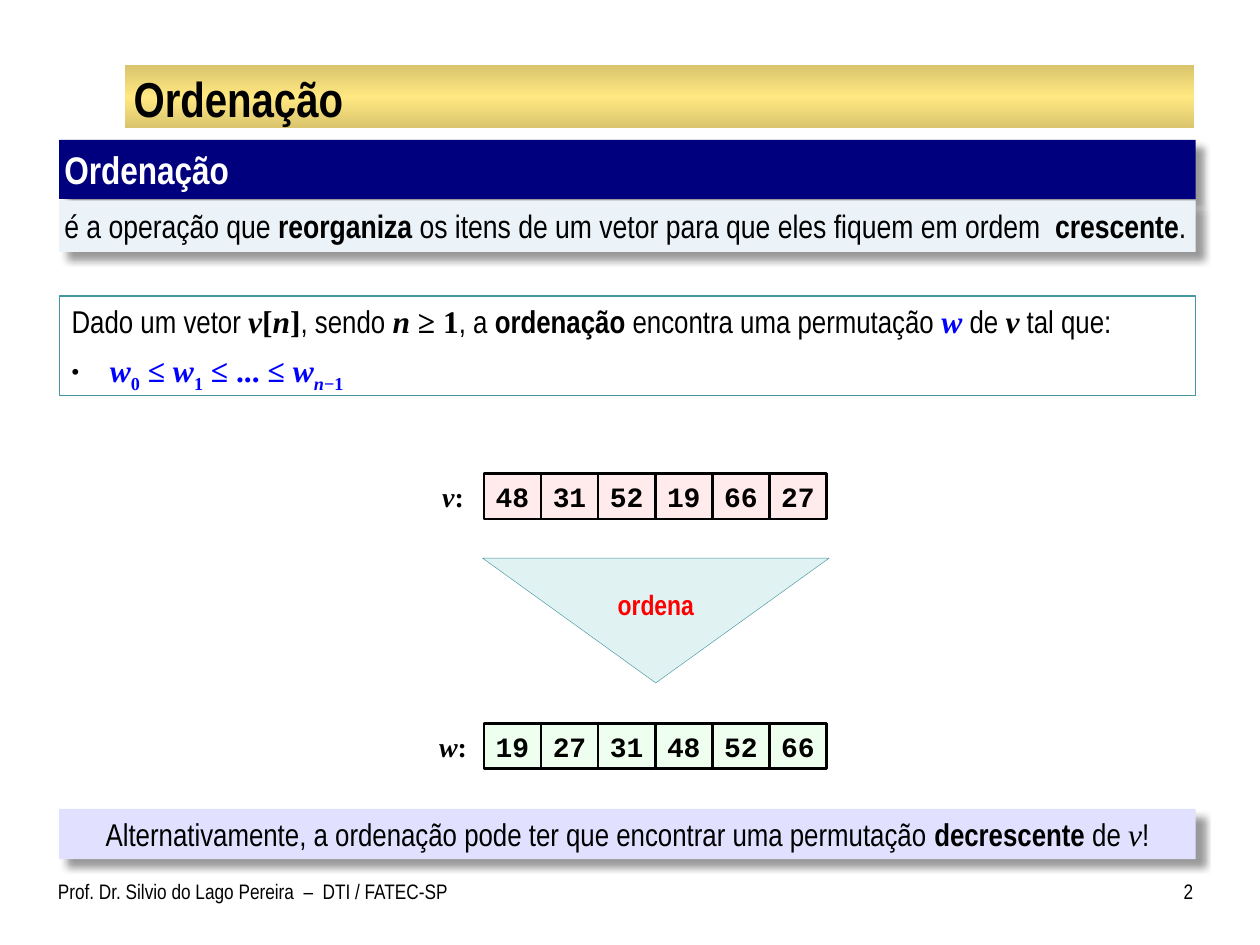
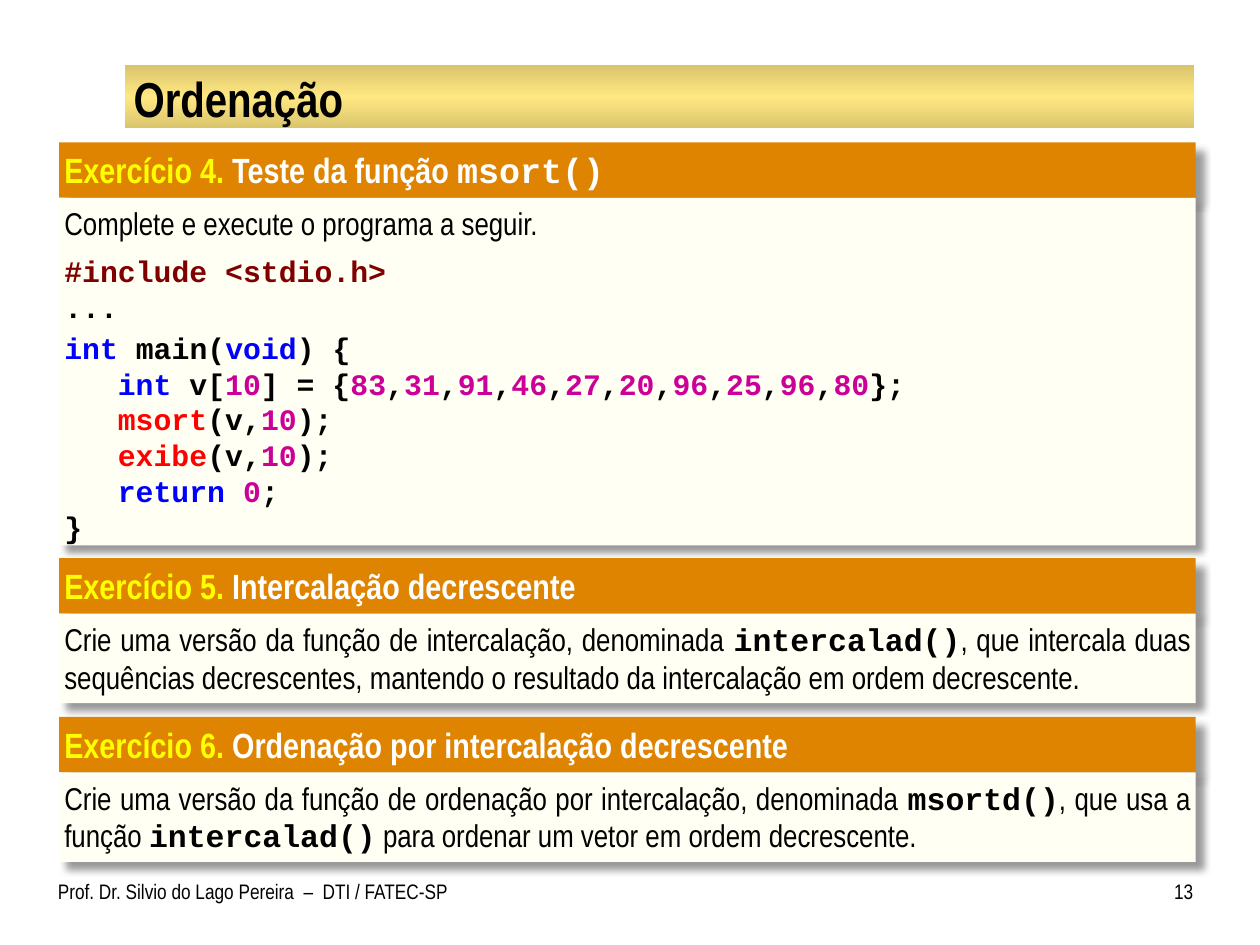
"""Builds two slides on sorting: its definition and a set of exercises."""
import pptx
import pptx.util
import pptx.dml.color
import pptx.enum.shapes
import pptx.enum.text
import lxml.etree

Inches, Pt = pptx.util.Inches, pptx.util.Pt
rgb = pptx.dml.color.RGBColor.from_string
SHAPE = pptx.enum.shapes.MSO_SHAPE
ALIGN = pptx.enum.text.PP_ALIGN
ANCHOR = pptx.enum.text.MSO_ANCHOR
NS = "http://schemas.openxmlformats.org/drawingml/2006/main"

BLACK, WHITE, BLUE, RED = "000000", "FFFFFF", "0000FF", "FF0000"
YELLOW, MAROON, PURPLE, TEAL = "FFFF00", "800000", "CC0099", "4597A0"
NAVY, ORANGE, CREAM, GOLD = "00007E", "DE8400", "FFFFF3", "FFE781"
LEFT, WIDTH = 0.47, 9.02
STYLES = {
    "plain": dict(name="Arial Narrow", bold=False, italic=False),
    "bold": dict(name="Arial Narrow", bold=True, italic=False),
    "math": dict(name="Times New Roman", bold=True, italic=False),
    "var": dict(name="Times New Roman", bold=True, italic=True),
    "light": dict(name="Times New Roman", bold=False, italic=True),
    "code": dict(name="Courier New", bold=True, italic=False),
}
SUB = "-25000"
GRADIENT = f"""<a:gradFill xmlns:a="{NS}" rotWithShape="1"><a:gsLst>
<a:gs pos="0"><a:srgbClr val="{GOLD}"><a:shade val="70000"/></a:srgbClr></a:gs>
<a:gs pos="50000"><a:srgbClr val="{GOLD}"/></a:gs>
<a:gs pos="100000"><a:srgbClr val="{GOLD}"><a:shade val="70000"/></a:srgbClr></a:gs>
</a:gsLst><a:lin ang="5400000" scaled="0"/></a:gradFill>"""
SHADOW = f"""<a:outerShdw xmlns:a="{NS}" blurRad="50800" dist="76200" dir="2700000"
 algn="tl" rotWithShape="0"><a:srgbClr val="000000"><a:alpha val="40000"/></a:srgbClr></a:outerShdw>"""


def write(sp, size, paras, ins=(0.1, 0.05, 0.1, 0.05), anchor=ANCHOR.TOP):
    tf = sp.text_frame
    frame = dict(zip(("margin_left", "margin_top", "margin_right", "margin_bottom"), map(Inches, ins)))
    frame.update(word_wrap=True, auto_size=pptx.enum.text.MSO_AUTO_SIZE.NONE, vertical_anchor=anchor)
    for key, value in frame.items():
        setattr(tf, key, value)
    for i, (fmt, runs) in enumerate(paras):
        p = tf.add_paragraph() if i else tf.paragraphs[0]
        for key, value in fmt.items():
            setattr(p, key, value)
        for text, style, color, *base in runs:
            r = p.add_run()
            r.text = text
            for key, value in dict(STYLES[style], size=Pt(size)).items():
                setattr(r.font, key, value)
            r.font.color.rgb = rgb(color)
            if base:
                r._r.get_or_add_rPr().set("baseline", base[0])


def box(s, at, fill=None, line=None, weight=0.75, shadow=False, kind=SHAPE.RECTANGLE):
    sp = s.shapes.add_shape(kind, *map(Inches, at))
    sp.shadow.inherit = False
    if shadow:
        sp._element.spPr.find(f"{{{NS}}}effectLst").append(lxml.etree.fromstring(SHADOW))
    if fill:
        sp.fill.solid()
        sp.fill.fore_color.rgb = rgb(fill)
    else:
        sp.fill.background()
    if line:
        sp.line.color.rgb = rgb(line)
        sp.line.width = Pt(weight)
    else:
        sp.line.fill.background()
    return sp


left, center, right = ({"alignment": a} for a in (ALIGN.LEFT, ALIGN.CENTER, ALIGN.RIGHT))
justify = {"alignment": ALIGN.JUSTIFY, "space_before": Pt(3)}
tight = (0.04, 0.05, 0.04, 0.05)
cell = (0, 0.05, 0, 0.05)

prs = pptx.Presentation()
prs.slide_width, prs.slide_height = Inches(10), Inches(7.5)
layout = prs.slide_layouts[5]

slides = []
for number in ("2", "13"):
    s = prs.slides.add_slide(layout)
    slides.append(s)
    title = s.shapes.title
    title.left, title.top, title.width, title.height = map(Inches, (1, 0.54, 8.47, 0.47))
    write(title, 28, [(left, [("Ordenação", "bold", BLACK)])], (0.06, 0.01, 0.06, 0.01), ANCHOR.MIDDLE)
    footers = [
        ((0.46, 6.92, 3.27, 0.42), left, "Prof. Dr. Silvio do Lago Pereira  –  DTI / FATEC-SP", (0, 0.05, 0.1, 0.05)),
        ((9.08, 6.92, 0.39, 0.42), right, number, (0.1, 0.05, 0, 0.05)),
    ]
    for at, fmt, text, ins in footers:
        sp = s.shapes.add_textbox(*map(Inches, at))
        write(sp, 12, [(fmt, [(text, "plain", BLACK)])], ins)

s, exercises = slides
band = box(s, (0.99, 0.52, 8.49, 0.5))
spPr = band._element.spPr
no_fill = spPr.find(f"{{{NS}}}noFill")
spPr.replace(no_fill, lxml.etree.fromstring(GRADIENT))
layout.shapes._spTree.insert(2, band._element)

sp = box(s, (LEFT, 1.11, WIDTH, 0.47), NAVY, shadow=True)
write(sp, 22, [(left, [("Ordenação", "bold", WHITE)])], tight)
sp = box(s, (LEFT, 1.59, WIDTH, 0.41), "EBF3F9", shadow=True)
write(sp, 18.5, [({"alignment": ALIGN.JUSTIFY}, [
    ("é a operação que ", "plain", BLACK),
    ("reorganiza", "bold", BLACK),
    (" os itens de um vetor para que eles fiquem em ordem  ", "plain", BLACK),
    ("crescente", "bold", BLACK),
    (".", "plain", BLACK),
])], tight)

problem = [
    ("Dado um vetor ", "plain", BLACK), ("v", "var", BLACK), ("[", "math", BLACK),
    ("n", "var", BLACK), ("]", "math", BLACK), (", sendo ", "plain", BLACK),
    ("n ", "var", BLACK), ("≥ 1", "math", BLACK), (", a ", "plain", BLACK),
    ("ordenação", "bold", BLACK), (" encontra uma permutação ", "plain", BLACK),
    ("w", "var", BLUE), (" de ", "plain", BLACK), ("v", "var", BLACK), (" tal que:", "plain", BLACK),
]
order = [
    (" ", "light", BLACK), ("w", "var", BLUE), ("0", "math", BLUE, SUB),
    (" ≤ ", "math", BLUE), ("w", "var", BLUE), ("1", "math", BLUE, SUB),
    (" ≤ ... ≤ ", "math", BLUE), ("w", "var", BLUE),
    ("n", "var", BLUE, SUB), ("−1", "math", BLUE, SUB),
]
sp = box(s, (LEFT, 2.35, WIDTH, 0.79), line=TEAL)
write(sp, 18, [(justify, problem), (dict(justify, space_before=Pt(6)), order)])
pPr = sp.text_frame.paragraphs[1]._p.get_or_add_pPr()
pPr.set("marL", str(Inches(0.24)))
pPr.set("indent", str(-Inches(0.24)))
for tag, attr, value in (("buSzPct", "val", "69000"), ("buFont", "typeface", "Arial"), ("buChar", "char", "•")):
    lxml.etree.SubElement(pPr, f"{{{NS}}}{tag}").set(attr, value)

vectors = [
    ("v", 3.76, "FFEBEB", (48, 31, 52, 19, 66, 27)),
    ("w", 5.74, "EFFFEF", (19, 27, 31, 48, 52, 66)),
]
step = 2.72 / 6
for name, top, fill, values in vectors:
    sp = box(s, (3.37, top, 0.45, 0.36), WHITE)
    write(sp, 16, [(center, [(name, "var", BLACK), (":", "math", BLACK)])], cell, ANCHOR.MIDDLE)
    for i, value in enumerate(values):
        sp = box(s, (3.84 + i * step, top, step, 0.36), fill, BLACK, 1.5)
        write(sp, 16, [(center, [(str(value), "code", BLACK)])], cell, ANCHOR.MIDDLE)
sp = box(s, (3.83, 4.43, 2.75, 0.99), "E1F2F3", TEAL, 0.25, kind=SHAPE.FLOWCHART_MERGE)
write(sp, 16, [(center, [("ordena", "bold", RED)])], (0, 0.28, 0, 0.04), ANCHOR.MIDDLE)

sp = box(s, (LEFT, 6.42, WIDTH, 0.4), "E1E1FF", shadow=True)
write(sp, 18, [(center, [
    ("Alternativamente, a ordenação pode ter que encontrar uma permutação ", "plain", BLACK),
    ("decrescente ", "bold", BLACK),
    ("de ", "plain", BLACK),
    ("v", "light", BLACK),
    ("!", "plain", BLACK),
])])

s = exercises
cards = [
    (4, 1.13, 2.76, [(" Teste da função ", "bold", WHITE), ("msort()", "code", WHITE)],
     [("Complete e execute o programa a seguir.", "plain", BLACK)]),
    (5, 4.43, 0.71, [(" Intercalação decrescente", "bold", WHITE)], [
        ("Crie uma versão da função de intercalação, denominada ", "plain", BLACK),
        ("intercalad()", "code", BLACK),
        (", que intercala duas sequências decrescentes, mantendo o resultado da "
         "intercalação em ordem decrescente.", "plain", BLACK)]),
    (6, 5.69, 0.71, [(" Ordenação por intercalação decrescente", "bold", WHITE)], [
        ("Crie uma versão da função de ordenação por intercalação, denominada ", "plain", BLACK),
        ("msortd()", "code", BLACK),
        (", que usa a função ", "plain", BLACK),
        ("intercalad()", "code", BLACK),
        (" para ordenar um vetor em ordem decrescente.", "plain", BLACK)]),
]
bodies = []
for number, top, height, heading, text in cards:
    sp = box(s, (LEFT, top, WIDTH, 0.44), ORANGE, shadow=True)
    write(sp, 20, [(left, [(f"Exercício {number}.", "bold", YELLOW)] + heading)], tight)
    sp = box(s, (LEFT, top + 0.44, WIDTH, height), CREAM, shadow=True)
    write(sp, 18, [(justify, text)], tight)
    bodies.append(sp)

numbers = []
for value in (83, 31, 91, 46, 27, 20, 96, 25, 96, 80):
    numbers += [(str(value), PURPLE), (",", BLACK)]
program = [
    (6, 0, [("#include <stdio.h>", MAROON)]),
    (0, 0, [("...", BLACK)]),
    (3, 0, [("int ", BLUE), ("main(", BLACK), ("void", BLUE), (") {", BLACK)]),
    (0, 1, [("int", BLUE), (" v[", BLACK), ("10", PURPLE), ("] = {", BLACK)] + numbers[:-1] + [("};", BLACK)]),
    (0, 1, [("msort", RED), ("(v,", BLACK), ("10", PURPLE), (");", BLACK)]),
    (0, 1, [("exibe", RED), ("(v,", BLACK), ("10", PURPLE), (");", BLACK)]),
    (0, 1, [("return ", BLUE), ("0", PURPLE), (";", BLACK)]),
    (0, 0, [("}", BLACK)]),
]
tf = bodies[0].text_frame
for before, level, tokens in program:
    p = tf.add_paragraph()
    fmt = dict(left, space_before=Pt(before), line_spacing=Pt(20.5))
    for key, value in fmt.items():
        setattr(p, key, value)
    p._p.get_or_add_pPr().set("marL", str(Pt(30.6) * level))
    for text, color in tokens:
        r = p.add_run()
        r.text = text
        for key, value in dict(STYLES["code"], size=Pt(17)).items():
            setattr(r.font, key, value)
        r.font.color.rgb = rgb(color)

prs.save("out.pptx")
